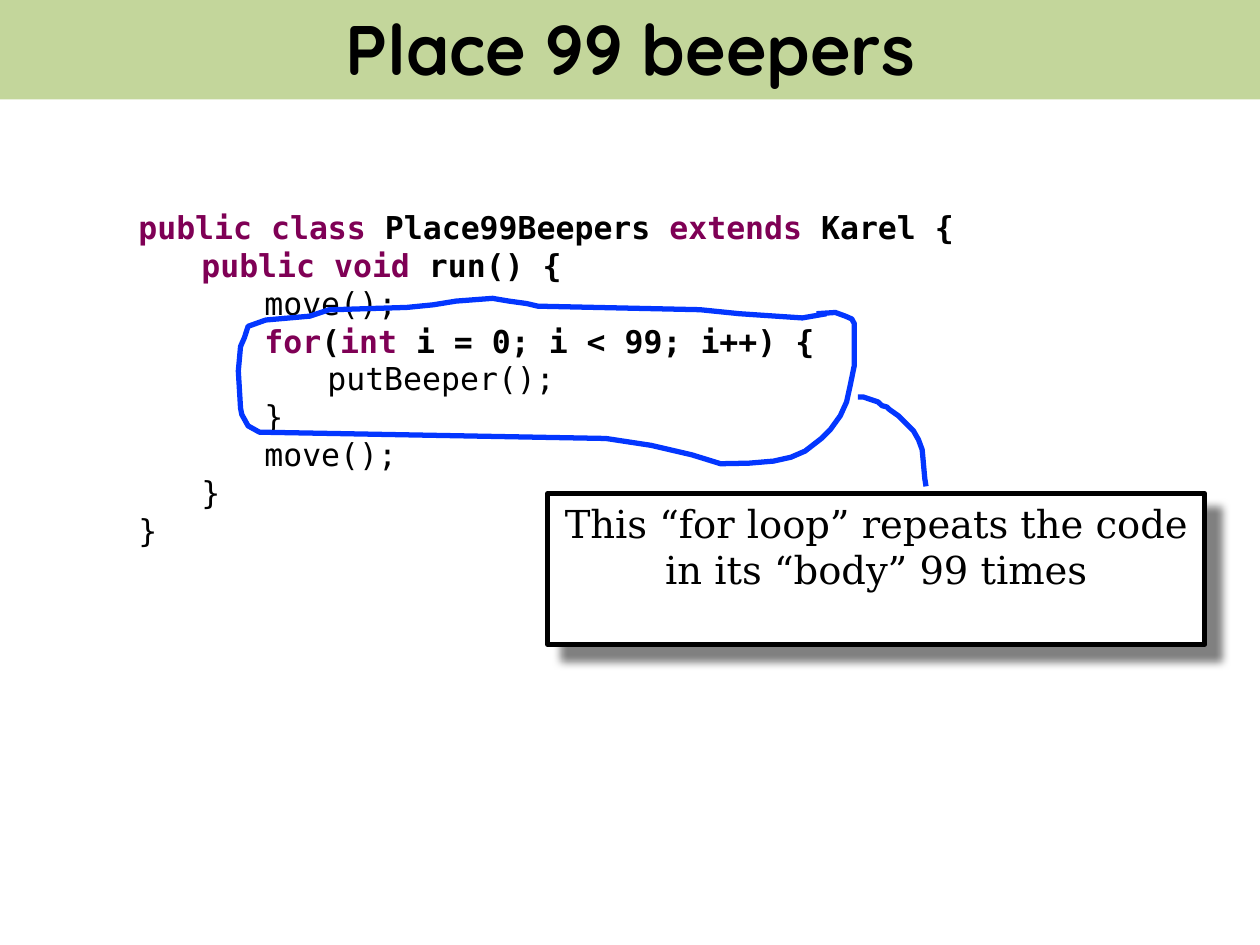
from lxml.etree import SubElement
from pptx import Presentation
from pptx.dml.color import RGBColor
from pptx.enum.shapes import MSO_SHAPE
from pptx.enum.text import MSO_ANCHOR, PP_ALIGN
from pptx.oxml.ns import qn
from pptx.util import Pt

THEME = {
    "ink": RGBColor.from_string("000000"),
    "keyword": RGBColor.from_string("7F0055"),
    "band": RGBColor.from_string("C3D69B"),
    "paper": RGBColor.from_string("FFFFFF"),
    "pen": RGBColor.from_string("0336FF"),
    "title": {"name": "Quicksand", "size": Pt(40), "bold": True},
    "code": {"name": "DejaVu Sans Mono", "size": Pt(18)},
    "note": {"name": "DejaVu Serif", "size": Pt(22), "bold": False},
}

TITLE = "Place 99 beepers"
NOTE = "This “for loop” repeats the code in its “body” 99 times"
PLAIN, BOLD, KEYWORD = "plain", "bold", "keyword"
CODE = [
    [("public class", KEYWORD), (" Place99Beepers ", BOLD),
     ("extends", KEYWORD), (" Karel {", BOLD)],
    [("\t", PLAIN), ("public void", KEYWORD), (" run() {", BOLD)],
    [("\t\tmove();", PLAIN)],
    [("\t\t", PLAIN), ("for", KEYWORD), ("(", BOLD), ("int", KEYWORD),
     (" i = 0; i < 99; i++) {", BOLD)],
    [("\t\t\tputBeeper();", PLAIN)],
    [("\t\t}", PLAIN)],
    [("\t\tmove();", PLAIN)],
    [("\t}", PLAIN)],
    [("}", PLAIN)],
]
LOOP_OUTLINE = [
    (472.3, 179.3), (458.5, 181.7), (422.6, 179.3), (400, 177), (307.4, 175),
    (301, 173.5), (290.9, 172.1), (281.5, 170.5), (260.6, 172.1),
    (247.7, 174.2), (232.6, 175.7), (187.9, 177.1), (177.1, 180.7),
    (151.9, 182.9), (141.8, 186.5), (139.7, 193), (137.5, 198),
    (136.2, 212), (137.5, 233.3), (138.2, 236.9), (141.8, 243.4),
    (148.3, 247), (187.9, 247.7), (346.3, 250.6), (372, 254.5),
    (395.3, 259.9), (411.8, 265), (428, 264.7), (442.1, 263.5), (452, 261.3),
    (460.1, 257.8), (469.4, 250.6), (474.5, 245.5), (480.2, 237.6),
    (483.8, 229.7), (486, 219.6), (488.2, 208.8), (488.2, 185),
    (486.8, 182.3), (483.1, 180.7), (477.4, 178.6), (466.6, 179.3),
]
NOTE_LEADER = [
    (529.2, 277.9), (528.5, 273.6), (527, 257), (524.9, 251.3),
    (522, 246.2), (513.4, 237.6), (508.3, 234), (506.9, 232.6),
    (504, 231.8), (501.8, 229.7), (493.2, 226.8), (490.3, 226.8),
]
TAB = 36


def add_run(p, text, style, color):
    r = p.add_run()
    r.text = text
    for key, value in style.items():
        setattr(r.font, key, value)
    r.font.color.rgb = color


def add_title(s):
    sp = s.shapes.title
    sp.left, sp.top, sp.width, sp.height = Pt(0), Pt(-2.2), Pt(720), Pt(59)
    sp.fill.solid()
    sp.fill.fore_color.rgb = THEME["band"]
    tf = sp.text_frame
    tf.vertical_anchor = MSO_ANCHOR.MIDDLE
    tf.paragraphs[0].alignment = PP_ALIGN.CENTER
    add_run(tf.paragraphs[0], TITLE, THEME["title"], THEME["ink"])


def add_code(s):
    tf = s.shapes.add_textbox(Pt(72), Pt(115.2), Pt(596), Pt(204)).text_frame
    tf.word_wrap = True
    for i, line in enumerate(CODE):
        p = tf.paragraphs[0] if i == 0 else tf.add_paragraph()
        tabs = SubElement(p._p.get_or_add_pPr(), qn("a:tabLst"))
        for stop in range(1, 4):
            SubElement(tabs, qn("a:tab"), pos=str(Pt(TAB * stop)), algn="l")
        p.line_spacing = Pt(21.65)
        for text, kind in line:
            style = THEME["code"] | {"bold": kind != PLAIN}
            color = THEME["keyword" if kind == KEYWORD else "ink"]
            add_run(p, text, style, color)


def add_note(s):
    sp = s.shapes.add_shape(MSO_SHAPE.RECTANGLE, Pt(313), Pt(282), Pt(375.5), Pt(86.2))
    sp.fill.solid()
    sp.fill.fore_color.rgb = THEME["paper"]
    sp.line.color.rgb = THEME["ink"]
    sp.line.width = Pt(2.89)
    sp.shadow.inherit = False
    effects = sp._element.spPr.find(qn("a:effectLst"))
    shadow = SubElement(effects, qn("a:outerShdw"), blurRad=str(Pt(5)),
                        dist=str(Pt(12)), dir="2700000", algn="tl", rotWithShape="0")
    SubElement(shadow, qn("a:srgbClr"), val="808080")
    tf = sp.text_frame
    frame = {"word_wrap": True, "vertical_anchor": MSO_ANCHOR.TOP,
             "margin_left": Pt(8), "margin_right": Pt(8),
             "margin_top": Pt(5.2), "margin_bottom": Pt(4.5)}
    for key, value in frame.items():
        setattr(tf, key, value)
    p = tf.paragraphs[0]
    p.alignment = PP_ALIGN.CENTER
    p.line_spacing = .98
    add_run(p, NOTE, THEME["note"], THEME["ink"])


def add_pen_stroke(s, points):
    start, *rest = [(Pt(x), Pt(y)) for x, y in points]
    builder = s.shapes.build_freeform(*start)
    builder.add_line_segments(rest, close=False)
    sp = builder.convert_to_shape()
    sp.shadow.inherit = False
    sp.fill.background()
    sp.line.color.rgb = THEME["pen"]
    sp.line.width = Pt(3)
    SubElement(sp.line._get_or_add_ln(), qn("a:round"))


def main():
    prs = Presentation()
    prs.slide_width, prs.slide_height = Pt(720), Pt(540)
    s = prs.slides.add_slide(prs.slide_layouts[5])
    add_code(s)
    add_title(s)
    add_note(s)
    for stroke in (LOOP_OUTLINE, NOTE_LEADER):
        add_pen_stroke(s, stroke)
    prs.save("out.pptx")


if __name__ == "__main__":
    main()
